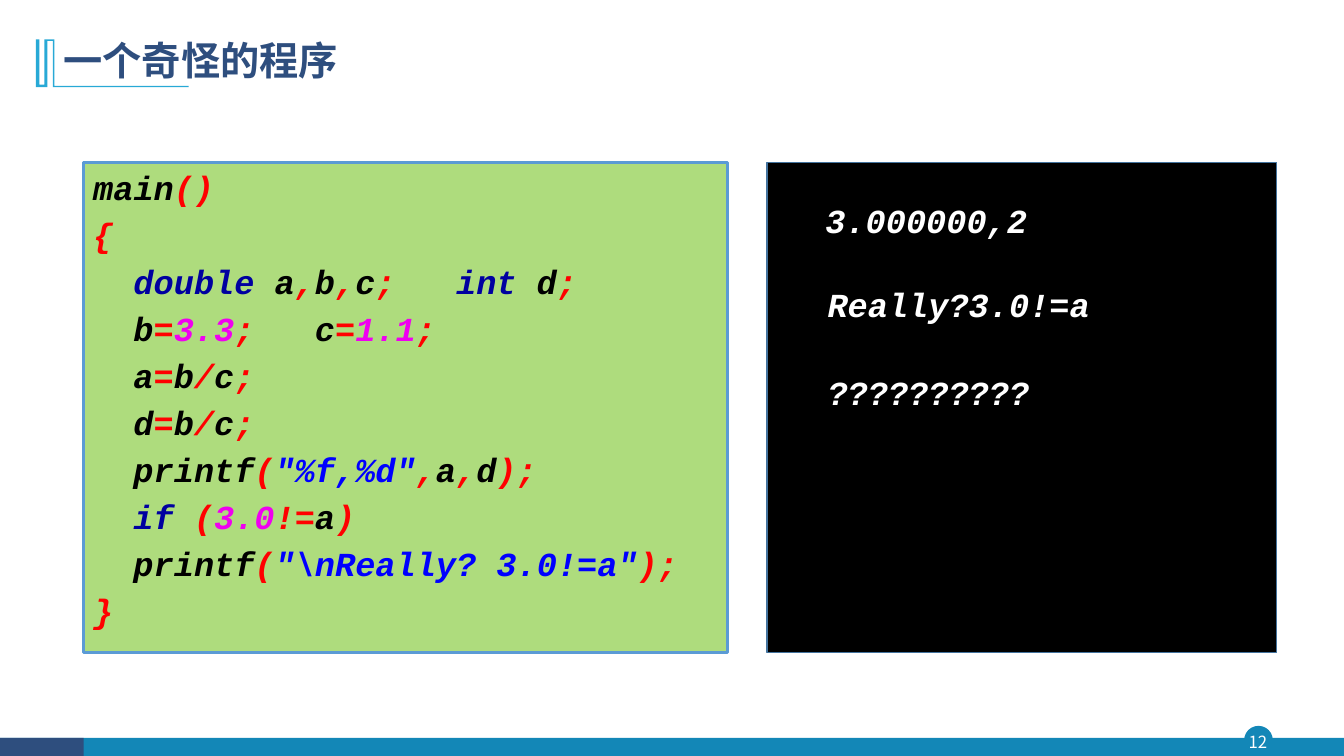
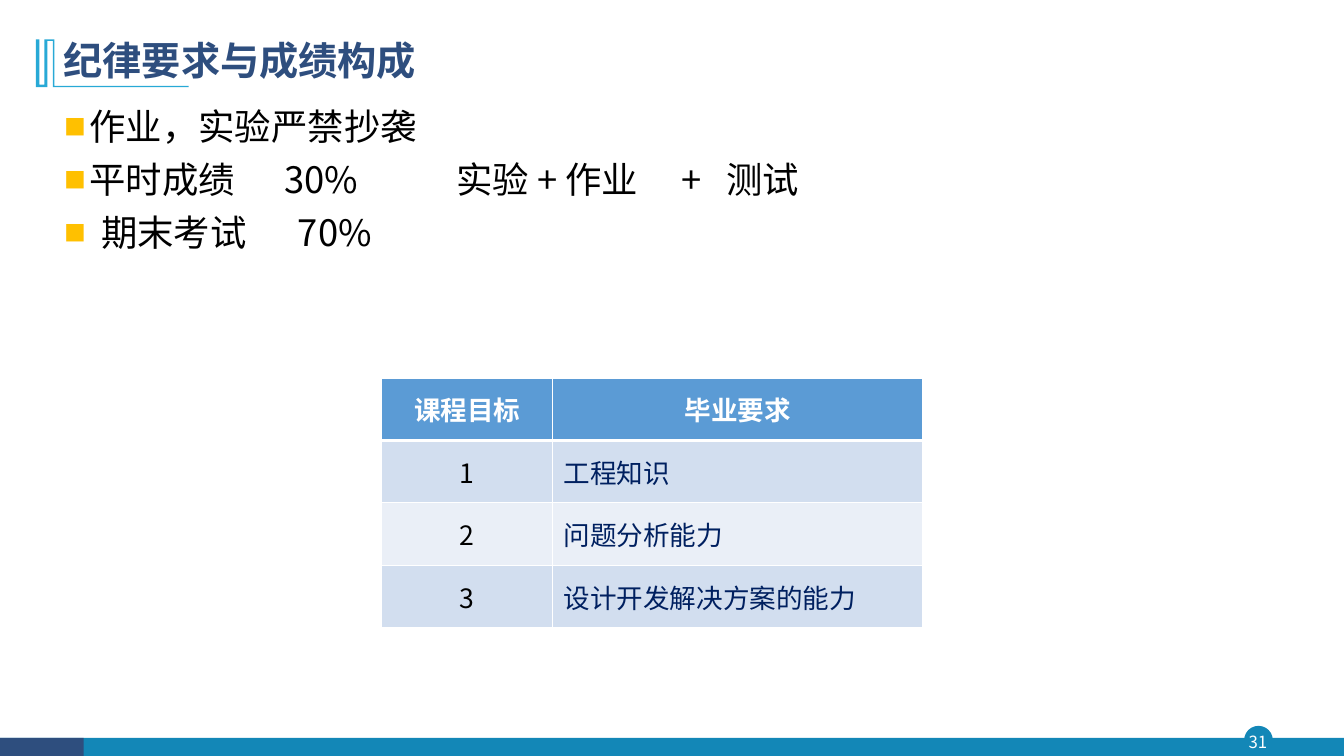
import pptx
import pptx.util
import pptx.dml.color
import pptx.enum.shapes
import pptx.enum.text
import pptx.oxml
import pptx.oxml.ns
import lxml.etree

Pt = pptx.util.Pt
SHAPE = pptx.enum.shapes.MSO_SHAPE
ALIGN = pptx.enum.text.PP_ALIGN
ANCHOR = pptx.enum.text.MSO_ANCHOR
qn = pptx.oxml.ns.qn

SANS, MONO = "Noto Sans CJK SC", "Courier New"
COLORS = {
    "teal": "1387B7", "navy": "2E4E7E", "cyan": "28A9D6",
    "white": "FFFFFF", "black": "000000", "bullet": "FFC000",
    "code_fill": "92D050", "code_line": "5B9BD5", "console_line": "43739E",
    "keyword": "0000A0", "number": "F000F0", "string": "0000FF", "operator": "FF0000",
    "header": "5B9BD5", "odd_row": "D2DEEF", "even_row": "EAEFF7", "cell_text": "002060",
}

CODE_TITLE, CODE_PAGE = "一个奇怪的程序", 12
KEYWORDS = {"double", "int", "if"}
CODE = [
    "main|()",
    "{",
    "  |double |a|,|b|,|c|;   |int |d|;",
    "  |b|=|3.3|;   |c|=|1.1|;",
    "  |a|=|b|/|c|;",
    "  |d|=|b|/|c|;",
    '  |printf|(|"%f,%d"|,|a|,|d|);',
    "  |if |(|3.0|!=|a|)",
    '  |printf|(|"\\nReally? 3.0!=a"|);',
    "}",
]
CONSOLE = [("3.000000,2", 582.5, 139), ("Really?3.0!=a", 584, 199.4), ("??????????", 584, 262)]

GRADE_TITLE, GRADE_PAGE = "纪律要求与成绩构成", 31
BULLETS = [
    ("作业，实验严禁抄袭", 18, []),
    ("平时成绩\t30%\t实验 + 作业\t+\t测试", 18, [157.5, 280, 441, 473]),
    ("期末考试\t70%", 26.5, [167]),
]
GOALS = [
    ("课程目标", "毕业要求"),
    ("1", "工程知识"),
    ("2", "问题分析能力"),
    ("3", "设计开发解决方案的能力"),
]
GOAL_COLS, GOAL_ROW = (122.4, 264.2), 44.6

TITLE_MARK = [
    (38.9, 28.1), (38.9, 61.3), (134.8, 61.3), (134.8, 62.2), (37.8, 62.2), (37.8, 29.2),
    (33.8, 29.2), (33.8, 62.2), (25.6, 62.2), (25.6, 28.1), (28.1, 28.1), (28.1, 60.5),
    (31.7, 60.5), (31.7, 28.1),
]


def rgb(name):
    return pptx.dml.color.RGBColor.from_string(COLORS[name])


def style(p, face, size, color, bold=False, italic=False):
    for r in p.runs:
        f = r.font
        f.name, f.size, f.bold, f.italic = face, Pt(size), bold, italic
        f.color.rgb = rgb(color)
        ea = lxml.etree.Element(qn("a:ea"), typeface=face)
        r._r.rPr.find(qn("a:latin")).addnext(ea)


def paint(sp, fill, line=None, width=1):
    sp.shadow.inherit = False
    sp.fill.solid()
    sp.fill.fore_color.rgb = rgb(fill)
    if line:
        sp.line.color.rgb = rgb(line)
        sp.line.width = Pt(width)
    else:
        sp.line.fill.background()


def add_box(s, kind, box, fill, line=None, width=1):
    sp = s.shapes.add_shape(kind, *map(Pt, box))
    paint(sp, fill, line, width)
    return sp


def add_text(s, box):
    tf = s.shapes.add_textbox(*map(Pt, box)).text_frame
    tf.word_wrap = True
    return tf


def add_slide(prs, title, page):
    s = prs.slides.add_slide(prs.slide_layouts[5])
    add_box(s, SHAPE.OVAL, (889.2, 519, 19.5, 19.5), "teal", "teal")
    add_box(s, SHAPE.RECTANGLE, (0, 527, 960, 13), "teal")
    add_box(s, SHAPE.RECTANGLE, (0, 527, 59.8, 13), "navy")

    tf = add_text(s, (887, 519, 23, 22.3))
    tf.margin_left = tf.margin_top = tf.margin_right = tf.margin_bottom = 0
    tf.vertical_anchor = ANCHOR.MIDDLE
    p = tf.paragraphs[0]
    p.text, p.alignment = str(page), ALIGN.CENTER
    style(p, SANS, 12, "white")

    start, *rest = [(Pt(x), Pt(y)) for x, y in TITLE_MARK]
    outline = s.shapes.build_freeform(*start)
    outline.add_line_segments(rest, close=True)
    paint(outline.convert_to_shape(), "cyan")

    sp = s.shapes.title
    sp.left, sp.top, sp.width, sp.height = map(Pt, (38.2, 20, 828, 49))
    tf = sp.text_frame
    tf.text, tf.vertical_anchor = title, ANCHOR.MIDDLE
    p = tf.paragraphs[0]
    p.alignment, p.line_spacing = ALIGN.LEFT, 0.9
    style(p, SANS, 28, "navy", bold=True)
    return s


def token_color(token):
    if token.strip() in KEYWORDS:
        return "keyword"
    if token[0].isdigit():
        return "number"
    if token[0] == '"':
        return "string"
    return "black" if token[0].isalpha() else "operator"


def add_code(s):
    sp = add_box(s, SHAPE.RECTANGLE, (59.5, 116, 460.3, 350), "code_fill", "code_line", 2)
    color = sp._element.spPr.find(qn("a:solidFill"))[0]
    lxml.etree.SubElement(color, qn("a:alpha"), val="74000")
    tf = sp.text_frame
    tf.word_wrap, tf.vertical_anchor = True, ANCHOR.TOP
    tf.margin_top = Pt(3)
    for i, line in enumerate(CODE):
        p = tf.add_paragraph() if i else tf.paragraphs[0]
        p.alignment = ALIGN.LEFT
        p.space_before = Pt(4.8 if i else 0)
        for token in line.split("|"):
            p.add_run().text = token
        style(p, MONO, 24, "black", bold=True, italic=True)
        for r in p.runs:
            r.font.color.rgb = rgb(token_color(r.text))


def add_console(s):
    add_box(s, SHAPE.RECTANGLE, (548, 116, 364, 350), "black", "console_line")
    for text, left, top in CONSOLE:
        p = add_text(s, (left, top, 243, 36)).paragraphs[0]
        p.text = text
        style(p, MONO, 24, "white", bold=True, italic=True)


def add_bullets(s):
    tf = add_text(s, (38.7, 71, 828, 217))
    for i, (text, indent, tabs) in enumerate(BULLETS):
        p = tf.add_paragraph() if i else tf.paragraphs[0]
        p.text = text
        p.space_before = Pt(6.7 if i else 0)
        pPr = p._p.get_or_add_pPr()
        pPr.set("marL", str(Pt(indent)))
        pPr.set("indent", str(-Pt(indent)))
        color = lxml.etree.SubElement(pPr, qn("a:buClr"))
        lxml.etree.SubElement(color, qn("a:srgbClr"), val=COLORS["bullet"])
        lxml.etree.SubElement(pPr, qn("a:buSzPct"), val="60000")
        lxml.etree.SubElement(pPr, qn("a:buFont"), typeface=SANS)
        lxml.etree.SubElement(pPr, qn("a:buChar"), char="■")
        if tabs:
            stops = lxml.etree.SubElement(pPr, qn("a:tabLst"))
            for pos in tabs:
                lxml.etree.SubElement(stops, qn("a:tab"), pos=str(Pt(pos)), algn="l")
        style(p, SANS, 26, "black")


def add_borders(cell, bottom):
    tcPr = cell._tc.get_or_add_tcPr()
    for side, width in (("L", 1), ("R", 1), ("T", 1), ("B", bottom)):
        ln = lxml.etree.SubElement(tcPr, qn("a:ln" + side), w=str(Pt(width)))
        fill = lxml.etree.SubElement(ln, qn("a:solidFill"))
        lxml.etree.SubElement(fill, qn("a:srgbClr"), val=COLORS["white"])


def add_goals(s):
    size = (sum(GOAL_COLS), GOAL_ROW * len(GOALS))
    table = s.shapes.add_table(len(GOALS), len(GOAL_COLS), *map(Pt, (272.5, 270, *size))).table
    for col, width in zip(table.columns, GOAL_COLS):
        col.width = Pt(width)
    for i, row in enumerate(GOALS):
        table.rows[i].height = Pt(GOAL_ROW)
        fill = "header" if i == 0 else ("odd_row" if i % 2 else "even_row")
        for j, text in enumerate(row):
            cell = table.cell(i, j)
            add_borders(cell, 1 if i else 3)
            cell.fill.solid()
            cell.fill.fore_color.rgb = rgb(fill)
            cell.vertical_anchor = ANCHOR.MIDDLE
            cell.margin_left = cell.margin_right = Pt(7.9)
            cell.text = text
            p = cell.text_frame.paragraphs[0]
            p.alignment = ALIGN.LEFT if i and j else ALIGN.CENTER
            color = "white" if i == 0 else ("cell_text" if j else "black")
            style(p, SANS, 19, color, bold=i == 0)


def main():
    prs = pptx.Presentation()
    prs.slide_width, prs.slide_height = Pt(960), Pt(540)
    s = add_slide(prs, CODE_TITLE, CODE_PAGE)
    add_console(s)
    add_code(s)
    s = add_slide(prs, GRADE_TITLE, GRADE_PAGE)
    add_bullets(s)
    add_goals(s)
    prs.save("out.pptx")


if __name__ == "__main__":
    main()
